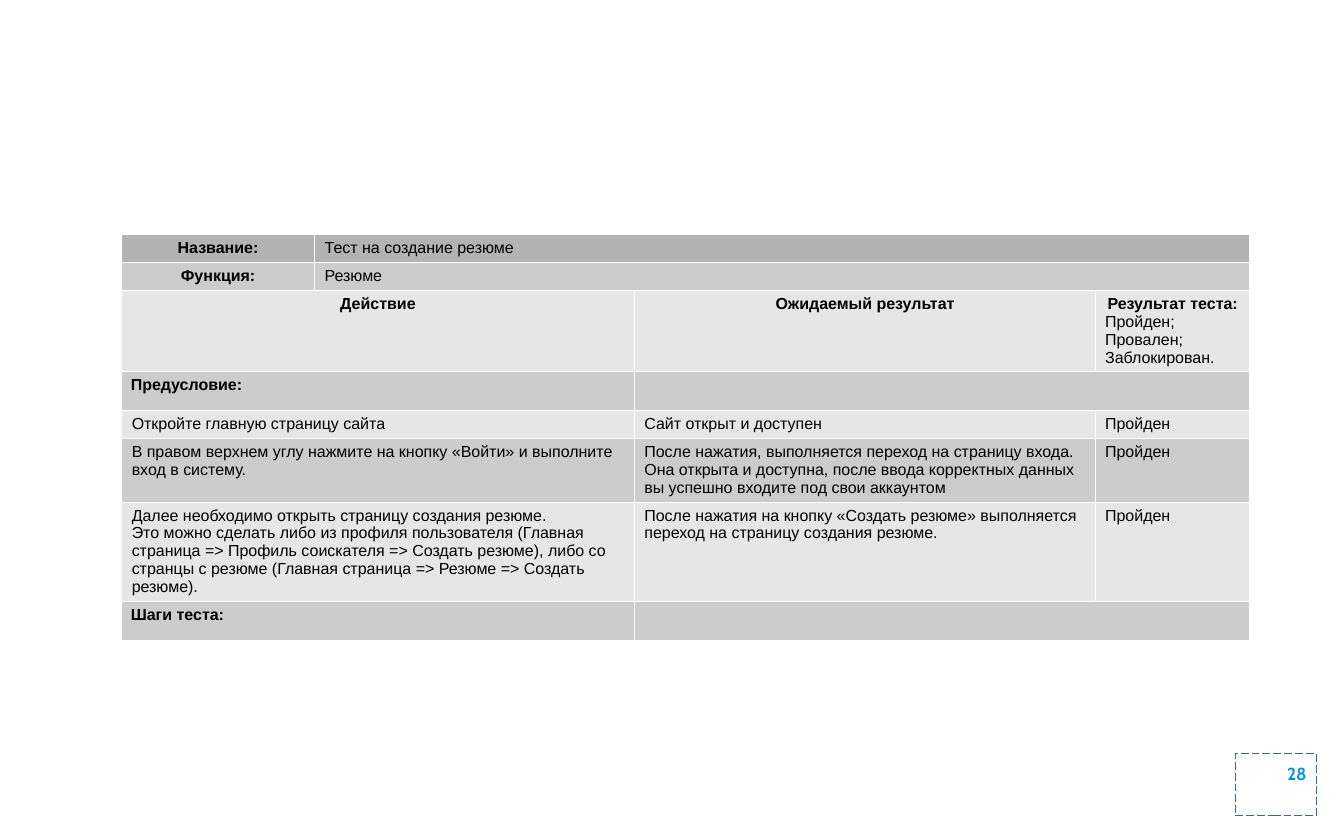
from lxml.etree import SubElement
from pptx import Presentation
from pptx.dml.color import RGBColor
from pptx.enum.dml import MSO_LINE
from pptx.enum.shapes import MSO_SHAPE
from pptx.enum.text import MSO_ANCHOR, PP_ALIGN
from pptx.oxml.ns import qn
from pptx.util import Pt

COLORS = {
    "text": "000000", "border": "FFFFFF", "number": "0091EA", "frame": "3465A4",
    "title": "B3B3B3", "dark": "CCCCCC", "light": "E6E6E6",
}

# Paragraph styles: bold, alignment, left margin, first-line indent
STYLES = {
    "head": (True, PP_ALIGN.CENTER, 0.72, 0),
    "label": (True, PP_ALIGN.LEFT, 0, 0),
    "body": (False, PP_ALIGN.LEFT, 0.72, 0),
    "status": (False, PP_ALIGN.LEFT, 0, 0),
    "option": (False, PP_ALIGN.LEFT, 2.88, -2.88),
}
PASSED = (1, [("status", "Пройден")])


def section(title):
    return [(2, [("label", title)]), (2, [])]


def step(actions, result):
    return [(2, [("body", action) for action in actions]), (1, [("body", result)]), PASSED]


# Rows: height, fill, cells; each cell is (columns spanned, paragraphs)
COLUMN_WIDTHS = [144.7, 239.8, 346.3, 115.2]
ROWS = [
    (8.6, "title", [(1, [("head", "Название:")]), (3, [("body", "Тест на создание резюме")])]),
    (20.9, "dark", [(1, [("head", "Функция:")]), (3, [("body", "Резюме")])]),
    (61.2, "light", [
        (2, [("head", "Действие")]),
        (1, [("head", "Ожидаемый результат")]),
        (1, [("head", "Результат теста:"), ("option", "Пройден;"),
             ("option", "Провален;"), ("option", "Заблокирован.")]),
    ]),
    (20.9, "dark", section("Предусловие:")),
    (20.9, "light", step(["Откройте главную страницу сайта"], "Сайт открыт и доступен")),
    (47.5, "dark", step(
        ["В правом верхнем углу нажмите на кнопку «Войти» и выполните вход в систему."],
        "После нажатия, выполняется переход на страницу входа. Она открыта и доступна, "
        "после ввода корректных данных вы успешно входите под свои аккаунтом")),
    (74.9, "light", step(
        ["Далее необходимо открыть страницу создания резюме.",
         "Это можно сделать либо из профиля пользователя (Главная страница => Профиль "
         "соискателя => Создать резюме), либо со странцы с резюме (Главная страница => "
         "Резюме => Создать резюме)."],
        "После нажатия на кнопку «Создать резюме» выполняется переход на страницу "
        "создания резюме.")),
    (20.9, "dark", section("Шаги теста:")),
]


def color(name):
    return RGBColor.from_string(COLORS[name])


def style_font(font, name, size, bold, color_name):
    font.name, font.size, font.bold = name, Pt(size), bold
    font.color.rgb = color(color_name)


def add_borders(cell):
    properties = cell._tc.get_or_add_tcPr()
    for position, side in enumerate(("lnL", "lnR", "lnT", "lnB")):
        line = properties.makeelement(qn(f"a:{side}"), {"w": str(Pt(0.06))})
        fill = SubElement(line, qn("a:solidFill"))
        SubElement(fill, qn("a:srgbClr"), val=COLORS["border"])
        properties.insert(position, line)


def write_cell(cell, paragraphs):
    cell.margin_left = cell.margin_right = Pt(7.2)
    cell.margin_top = cell.margin_bottom = Pt(3.6)
    if not paragraphs:
        return
    frame = cell.text_frame
    frame.text = "\n".join(text for _, text in paragraphs)
    for para, (style, _) in zip(frame.paragraphs, paragraphs):
        bold, alignment, margin, indent = STYLES[style]
        para.alignment = alignment
        properties = para._p.get_or_add_pPr()
        properties.set("marL", str(Pt(margin)))
        properties.set("indent", str(Pt(indent)))
        for span in para.runs:
            style_font(span.font, "Arial", 12, bold, "text")


deck = Presentation()
deck.slide_width, deck.slide_height = Pt(1008), Pt(612)
slide = deck.slides.add_slide(deck.slide_layouts[6])

# Test case table
table = slide.shapes.add_table(
    len(ROWS), len(COLUMN_WIDTHS), Pt(90.9), Pt(175.9),
    Pt(sum(COLUMN_WIDTHS)), Pt(sum(row[0] for row in ROWS))).table
for column, width in zip(table.columns, COLUMN_WIDTHS):
    column.width = Pt(width)
for row_index, (height, fill_name, cells) in enumerate(ROWS):
    table.rows[row_index].height = Pt(height)
    for column_index in range(len(COLUMN_WIDTHS)):
        cell = table.cell(row_index, column_index)
        cell.fill.solid()
        cell.fill.fore_color.rgb = color(fill_name)
        add_borders(cell)
    start = 0
    for width, paragraphs in cells:
        cell = table.cell(row_index, start)
        if width > 1:
            cell.merge(table.cell(row_index, start + width - 1))
        write_cell(cell, paragraphs)
        start += width

# Page number in a dashed frame
box = slide.shapes.add_shape(MSO_SHAPE.RECTANGLE, Pt(926.6), Pt(565.2), Pt(60.5), Pt(46.8))
box.shadow.inherit = False
box.fill.background()
box.line.color.rgb = color("frame")
box.line.width = Pt(0)
box.line.dash_style = MSO_LINE.LONG_DASH
frame = box.text_frame
frame.word_wrap = True
frame.vertical_anchor = MSO_ANCHOR.TOP
frame.margin_left = frame.margin_right = frame.margin_top = frame.margin_bottom = Pt(7.2)
frame.text = "28"
para = frame.paragraphs[0]
para.alignment = PP_ALIGN.RIGHT
style_font(para.runs[0].font, "Cabin", 13, True, "number")

deck.save("out.pptx")
